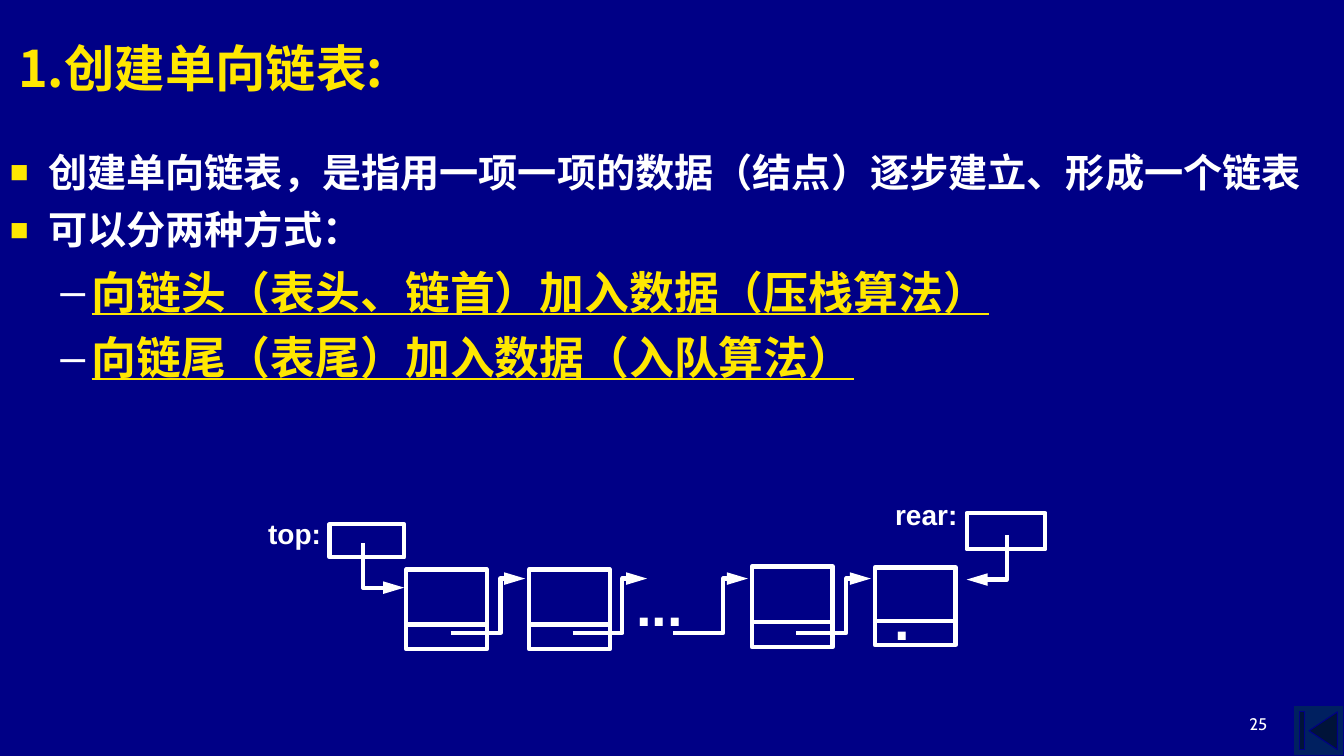
"""Build a slide on creating a singly linked list, with a diagram of nodes and pointers."""
from lxml.etree import SubElement
from pptx import Presentation
from pptx.dml.color import RGBColor
from pptx.enum.shapes import MSO_CONNECTOR, MSO_SHAPE
from pptx.enum.text import MSO_ANCHOR, MSO_AUTO_SIZE, PP_ALIGN
from pptx.oxml.ns import qn
from pptx.util import Inches, Pt

COLORS = {"back": "000086", "accent": "FFE701", "ink": "FFFFFF", "button": "002060"}
COLS, ROWS = 133.33, 75


def rgb(name):
    return RGBColor.from_string(COLORS[name])


def write(p, text, size=20, font="Arial", color="ink", bold=True, underline=None,
          align=PP_ALIGN.LEFT, spacing=None, before=0):
    p.alignment = align
    p.space_before = Pt(before)
    if spacing:
        p.line_spacing = spacing
    r = p.add_run()
    r.text = text
    r.font.size, r.font.name = Pt(size), font
    r.font.bold, r.font.underline = bold, underline
    r.font.color.rgb = rgb(color)
    SubElement(r._r.get_or_add_rPr(), qn("a:ea"), typeface=font)


class Board:
    """A slide laid out on a grid of COLS by ROWS cells."""

    def __init__(self, prs):
        self.w, self.h = prs.slide_width / COLS, prs.slide_height / ROWS
        self.s = prs.slides.add_slide(prs.slide_layouts[5])
        self.s.background.fill.solid()
        self.s.background.fill.fore_color.rgb = rgb("back")

    def cell(self, *lengths):
        return [round(n * (self.h if i % 2 else self.w)) for i, n in enumerate(lengths)]

    def stroke(self, line, color="ink", width=3):
        line.color.rgb = rgb(color)
        line.width = Pt(width)

    def title(self, box, text, **style):
        sp = self.s.shapes.title
        sp.left, sp.top, sp.width, sp.height = self.cell(*box)
        tf = sp.text_frame
        tf.word_wrap = False
        tf.auto_size = MSO_AUTO_SIZE.SHAPE_TO_FIT_TEXT
        tf.vertical_anchor = MSO_ANCHOR.TOP
        write(tf.paragraphs[0], text, **style)

    def frame(self, box, inset=None, anchor=MSO_ANCHOR.TOP):
        tf = self.s.shapes.add_textbox(*self.cell(*box)).text_frame
        tf.word_wrap = True
        tf.vertical_anchor = anchor
        if inset is not None:
            tf.margin_left, tf.margin_top, tf.margin_right, tf.margin_bottom = self.cell(*[inset] * 4)
        return tf

    def label(self, box, text, inset=0.1, anchor=MSO_ANCHOR.TOP, **style):
        write(self.frame(box, inset, anchor).paragraphs[0], text, **style)

    def bullets(self, box, items, levels):
        tf = self.frame(box)
        for i, (level, text) in enumerate(items):
            p = tf.add_paragraph() if i else tf.paragraphs[0]
            margin, hang, char, color, percent, style = levels[level]
            p.level = level
            pPr = p._p.get_or_add_pPr()
            pPr.set("marL", str(self.cell(margin)[0]))
            pPr.set("indent", str(-self.cell(hang)[0]))
            SubElement(SubElement(pPr, qn("a:buClr")), qn("a:srgbClr"), val=COLORS[color])
            SubElement(pPr, qn("a:buSzPct"), val=str(percent * 1000))
            SubElement(pPr, qn("a:buFont"), typeface="Arial")
            SubElement(pPr, qn("a:buChar"), char=char)
            before = 0.2 * style["size"] if i else 0
            write(p, text, font="Cabin", spacing=1.05, before=before, **style)

    def shape(self, box, kind=MSO_SHAPE.RECTANGLE, fill=None, line="ink", width=3):
        sp = self.s.shapes.add_shape(kind, *self.cell(*box))
        sp.shadow.inherit = False
        if fill:
            sp.fill.solid()
            sp.fill.fore_color.rgb = rgb(fill)
        else:
            sp.fill.background()
        self.stroke(sp.line, line, width)

    def rule(self, left, right, y):
        cxn = self.s.shapes.add_connector(MSO_CONNECTOR.STRAIGHT, *self.cell(left, y, right, y))
        SubElement(cxn._element.spPr, qn("a:effectLst"))
        self.stroke(cxn.line)

    def arrow(self, x, y, *steps):
        points = [self.cell(x + dx, y + dy) for dx, dy in steps]
        builder = self.s.shapes.build_freeform(*self.cell(x, y), scale=1.0)
        builder.add_line_segments(points, close=False)
        sp = builder.convert_to_shape()
        sp.shadow.inherit = False
        sp.fill.background()
        self.stroke(sp.line)
        SubElement(sp.line._get_or_add_ln(), qn("a:tailEnd"), type="triangle", w="med", len="lg")

    def node(self, x, y, height, divider):
        self.shape((x, y, 8, height))
        self.rule(x, x + 7.9, divider)


def main():
    prs = Presentation()
    prs.slide_width, prs.slide_height = Inches(13.333), Inches(7.5)
    b = Board(prs)

    b.title((0.8, 2.9, 40.1, 6.6), "1.创建单向链表:",
            size=36, font="Noto Sans CJK SC", color="accent", spacing=1.05)
    b.shape((128.3, 70, 5, 5), MSO_SHAPE.ACTION_BUTTON_BEGINNING, "button", "back", 0.75)
    b.label((95.6, 68.3, 31.1, 5), "25", inset=None, anchor=MSO_ANCHOR.BOTTOM,
            size=12, font="Cabin", bold=False, align=PP_ALIGN.RIGHT)

    levels = [(3.8, 3.8, "■", "accent", 80, {"size": 28}),
              (8.1, 3.1, "–", "ink", 100, {"size": 32, "color": "accent", "underline": True})]
    b.bullets((0, 14, 132.7, 26.6), [
        (0, "创建单向链表，是指用一项一项的数据（结点）逐步建立、形成一个链表"),
        (0, "可以分两种方式："),
        (1, "向链头（表头、链首）加入数据（压栈算法）"),
        (1, "向链尾（表尾）加入数据（入队算法）")], levels)

    b.label((88.7, 49.3, 8, 4.3), "rear:")
    b.shape((95.9, 50.9, 7.8, 3.6))
    b.arrow(99.9, 53.1, (0, 4.4), (-4, 4.4))
    b.label((26.5, 51.1, 8, 3.7), "top:")
    b.shape((32.7, 52, 7.4, 3.3))
    b.arrow(36, 53.9, (0, 4.4), (4.1, 4.4))

    for x, y, height, divider in ((40.3, 56.5, 7.9, 61.95), (52.5, 56.5, 7.9, 61.95),
                                  (74.6, 56.2, 8, 61.7), (86.8, 56.3, 7.7, 61.6)):
        b.node(x, y, height, divider)
    for x in (44.7, 56.8, 66.8, 79):
        b.arrow(x, 62.8, (4.95, 0), (4.95, -5.4), (7.4, -5.4))
    b.label((63, 56.5, 10, 6.3), "...", size=40)
    b.label((87.8, 57.5, 7, 9.9), ".", inset=None, size=40)

    prs.save("out.pptx")


if __name__ == "__main__":
    main()
